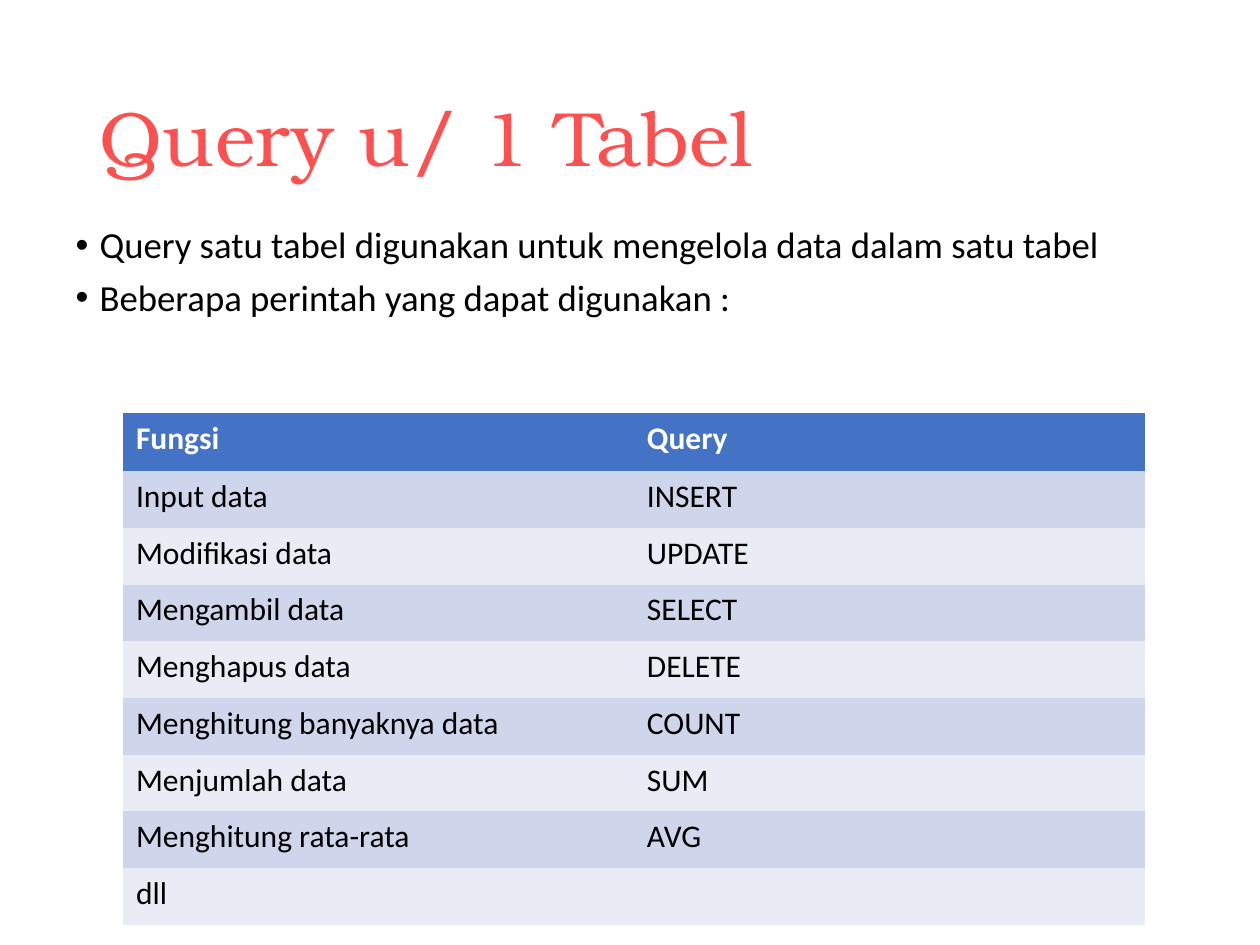
from lxml import etree
from pptx import Presentation
from pptx.dml.color import RGBColor
from pptx.enum.text import MSO_ANCHOR, MSO_AUTO_SIZE, PP_ALIGN
from pptx.oxml.ns import qn
from pptx.util import Inches, Pt

LEFT, MIDDLE, TOP = PP_ALIGN.LEFT, MSO_ANCHOR.MIDDLE, MSO_ANCHOR.TOP
FIXED = MSO_AUTO_SIZE.NONE
HUES = {"title": "FF5050", "text": "000000", "head": "4472C4",
        "white": "FFFFFF", "odd": "CFD5EA", "even": "E9EBF5"}


def add_run(para, text, size, hue, font="Calibri", bold=False):
    """Add one formatted run to a left-aligned paragraph."""
    para.alignment = LEFT
    run = para.add_run()
    run.text = text
    run.font.size = Pt(size)
    run.font.name = font
    run.font.bold = bold
    run.font.color.rgb = RGBColor.from_string(HUES[hue])


def place(shape, left, top, width, height, anchor):
    """Move a placeholder and fix its text frame."""
    shape.left, shape.top = Inches(left), Inches(top)
    shape.width, shape.height = Inches(width), Inches(height)
    frame = shape.text_frame
    frame.word_wrap = True
    frame.auto_size = FIXED
    frame.vertical_anchor = anchor
    return frame


deck = Presentation()
deck.slide_width, deck.slide_height = Inches(10), Inches(7.5)
slide = deck.slides.add_slide(deck.slide_layouts[1])

# Title
frame = place(slide.shapes.title, 0.69, 0.4, 8.62, 1.45, MIDDLE)
para = frame.paragraphs[0]
para.line_spacing = 0.9
add_run(para, "Query u/ 1 Tabel", 44, "title", "TeX Gyre Bonum")

# Bullet list
points = ["Query satu tabel digunakan untuk mengelola data dalam satu tabel",
          "Beberapa perintah yang dapat digunakan :"]
frame = place(slide.placeholders[1], 0.5, 1.75, 9, 1.45, TOP)
for i, point in enumerate(points):
    para = frame.add_paragraph() if i else frame.paragraphs[0]
    para.line_spacing = 0.9
    para.space_before = Pt(7.5)
    props = para._p.get_or_add_pPr()
    props.set("marL", str(Inches(0.19)))
    props.set("indent", str(-Inches(0.19)))
    etree.SubElement(props, qn("a:buFont")).set("typeface", "Arial")
    etree.SubElement(props, qn("a:buChar")).set("char", "•")
    add_run(para, point, 21, "text")

# Query table
rows = [("Fungsi", "Query"),
        ("Input data", "INSERT"),
        ("Modifikasi data", "UPDATE"),
        ("Mengambil data", "SELECT"),
        ("Menghapus data", "DELETE"),
        ("Menghitung banyaknya data", "COUNT"),
        ("Menjumlah data", "SUM"),
        ("Menghitung rata-rata", "AVG"),
        ("dll", "")]
table = slide.shapes.add_table(len(rows), 2, Inches(0.98), Inches(3.28),
                               Inches(8.11), Inches(4.08)).table
for r, row in enumerate(rows):
    table.rows[r].height = Inches(0.45 if r else 0.46)
    fill = ("odd" if r % 2 else "even") if r else "head"
    for c, text in enumerate(row):
        cell = table.cell(r, c)
        props = cell._tc.get_or_add_tcPr()
        for side in ("lnL", "lnR", "lnT", "lnB"):
            line = etree.SubElement(props, qn("a:" + side))
            etree.SubElement(line, qn("a:noFill"))
        cell.fill.solid()
        cell.fill.fore_color.rgb = RGBColor.from_string(HUES[fill])
        if text:
            add_run(cell.text_frame.paragraphs[0], text, 18,
                    "text" if r else "white", bold=r == 0)

deck.save("out.pptx")
